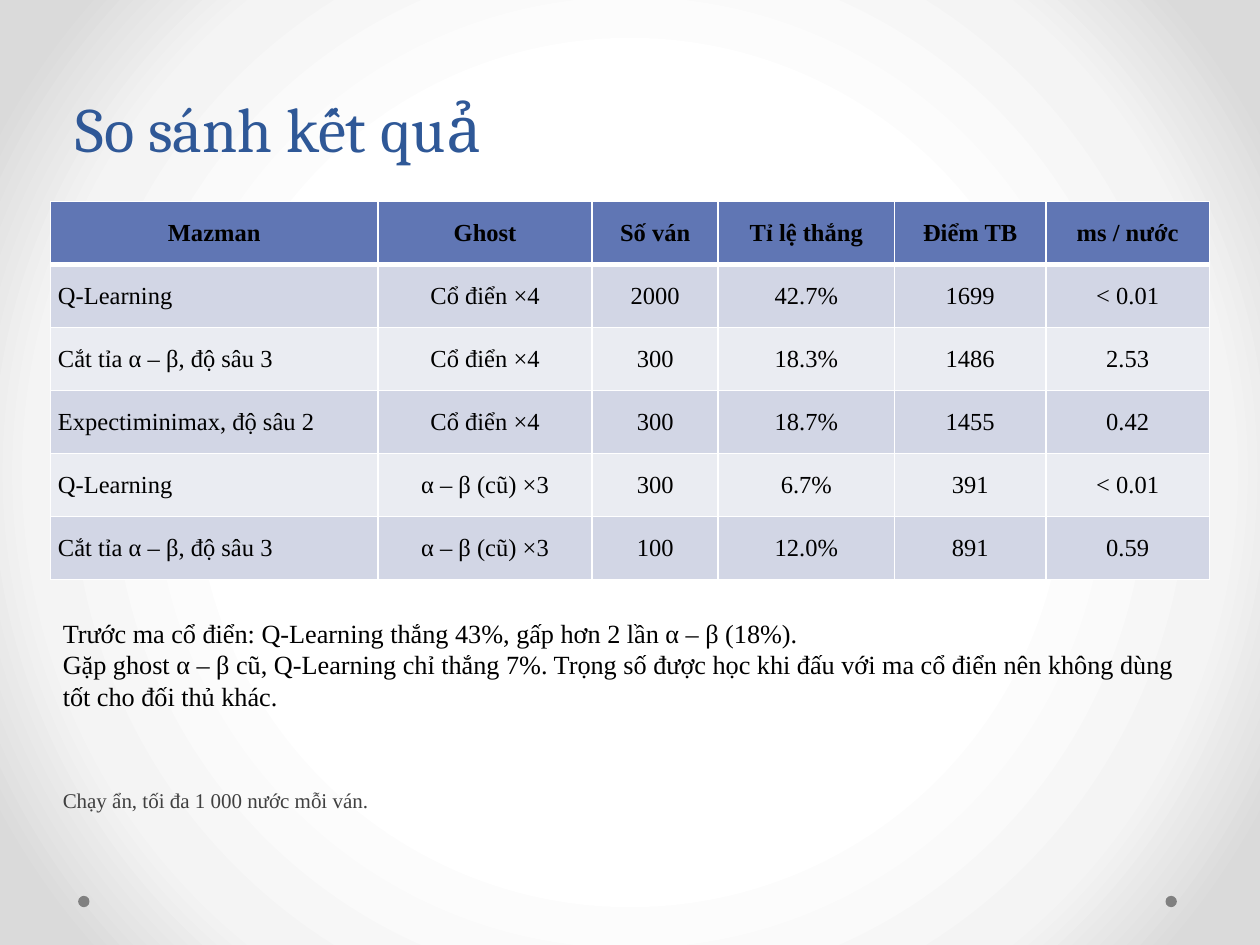
import pptx
import pptx.dml.color
import pptx.enum.shapes
import pptx.enum.text
import pptx.oxml
import pptx.oxml.ns
import pptx.util

RGB = pptx.dml.color.RGBColor
Pt = pptx.util.Pt
ALIGN = pptx.enum.text.PP_ALIGN
ANCHOR = pptx.enum.text.MSO_ANCHOR

PX = 9144
SERIF = "Times New Roman"
BLACK = RGB(0x00, 0x00, 0x00)
WHITE = RGB(0xFF, 0xFF, 0xFF)
TITLE_BLUE = RGB(0x2F, 0x58, 0x97)
HEADER_BLUE = RGB(0x60, 0x76, 0xB4)
BANDS = RGB(0xD2, 0xD6, 0xE5), RGB(0xEA, 0xEC, 0xF2)
DOT_GREY = RGB(0x80, 0x80, 0x80)
NOTE_GREY = RGB(0x40, 0x40, 0x40)
BACKGROUND = [(50, WHITE), (76, RGB(0xF4, 0xF4, 0xF4)), (92, RGB(0xDA, 0xDA, 0xDA))]

TITLE = "So sánh kết quả"
COLUMNS = [("Mazman", 260), ("Ghost", 170), ("Số ván", 100),
           ("Tỉ lệ thắng", 140), ("Điểm TB", 120), ("ms / nước", 130)]
RESULTS = [
    ("Q-Learning", "Cổ điển ×4", "2000", "42.7%", "1699", "< 0.01"),
    ("Cắt tỉa α – β, độ sâu 3", "Cổ điển ×4", "300", "18.3%", "1486", "2.53"),
    ("Expectiminimax, độ sâu 2", "Cổ điển ×4", "300", "18.7%", "1455", "0.42"),
    ("Q-Learning", "α – β (cũ) ×3", "300", "6.7%", "391", "< 0.01"),
    ("Cắt tỉa α – β, độ sâu 3", "α – β (cũ) ×3", "100", "12.0%", "891", "0.59"),
]
FINDINGS = [
    "Trước ma cổ điển: Q-Learning thắng 43%, gấp hơn 2 lần α – β (18%).",
    "Gặp ghost α – β cũ, Q-Learning chỉ thắng 7%. Trọng số được học khi đấu "
    "với ma cổ điển nên không dùng tốt cho đối thủ khác.",
]
NOTE = ["Chạy ẩn, tối đa 1 000 nước mỗi ván."]
LEFT, WIDTH, ROW_HEIGHT = 40, 920, 50


def px(*lengths):
    return [n * PX for n in lengths]


def style(p, size, color, name=SERIF, bold=False):
    p.font.size = Pt(size)
    p.font.name = name
    p.font.bold = bold
    p.font.color.rgb = color


def set_background(s):
    stops = "".join(f'<a:gs pos="{pos * 1000}"><a:srgbClr val="{color}"/></a:gs>'
                    for pos, color in BACKGROUND)
    s.element.cSld.insert(0, pptx.oxml.parse_xml(
        f'<p:bg {pptx.oxml.ns.nsdecls("p", "a")}><p:bgPr><a:gradFill rotWithShape="1">'
        f'<a:gsLst>{stops}</a:gsLst><a:path path="circle">'
        '<a:fillToRect l="50000" t="50000" r="50000" b="50000"/></a:path>'
        '</a:gradFill><a:effectLst/></p:bgPr></p:bg>'))


def set_borders(cell, row):
    widths = {"L": 1, "R": 1, "T": 3 if row == 1 else 1, "B": 3 if row == 0 else 1}
    tcPr = cell._tc.get_or_add_tcPr()
    for side, width in widths.items():
        tcPr.append(pptx.oxml.parse_xml(
            f'<a:ln{side} {pptx.oxml.ns.nsdecls("a")} w="{Pt(width)}">'
            f'<a:solidFill><a:srgbClr val="{WHITE}"/></a:solidFill></a:ln{side}>'))


def add_results(s):
    rows = [[name for name, _ in COLUMNS], *RESULTS]
    table = s.shapes.add_table(len(rows), len(COLUMNS),
                               *px(LEFT, 160, WIDTH, ROW_HEIGHT * len(rows))).table
    for column, (_, width) in zip(table.columns, COLUMNS):
        column.width = width * PX
    for i, row in enumerate(rows):
        table.rows[i].height = ROW_HEIGHT * PX
        for j, text in enumerate(row):
            cell = table.cell(i, j)
            set_borders(cell, i)
            cell.fill.solid()
            cell.fill.fore_color.rgb = BANDS[(i - 1) % 2] if i else HEADER_BLUE
            cell.margin_left = cell.margin_right = 6 * PX
            cell.margin_top = cell.margin_bottom = 5 * PX
            cell.vertical_anchor = ANCHOR.MIDDLE
            cell.text = text
            p = cell.text_frame.paragraphs[0]
            p.alignment = ALIGN.LEFT if i and j == 0 else ALIGN.CENTER
            style(p, 14, BLACK, bold=i == 0)


def add_text(s, lines, top, height, size, color):
    tf = s.shapes.add_textbox(*px(LEFT, top, WIDTH, height)).text_frame
    tf.word_wrap = True
    tf.auto_size = pptx.enum.text.MSO_AUTO_SIZE.SHAPE_TO_FIT_TEXT
    tf.text = "\n".join(lines)
    for p in tf.paragraphs:
        style(p, size, color)


def main():
    prs = pptx.Presentation()
    prs.slide_width, prs.slide_height = px(1000, 750)
    s = prs.slides.add_slide(prs.slide_layouts[5])
    set_background(s)

    title = s.shapes.title
    title.left, title.top, title.width, title.height = px(50, 36, 900, 100)
    title.text_frame.text = TITLE
    title.text_frame.vertical_anchor = ANCHOR.BOTTOM
    p = title.text_frame.paragraphs[0]
    p.alignment = ALIGN.LEFT
    p.line_spacing = Pt(58)
    style(p, 36, TITLE_BLUE, "Cambria")

    for x in (925, 62):
        dot = s.shapes.add_shape(pptx.enum.shapes.MSO_SHAPE.OVAL, *px(x, 711, 9, 9))
        dot.shadow.inherit = False
        dot.fill.solid()
        dot.fill.fore_color.rgb = DOT_GREY
        dot.line.fill.background()

    add_results(s)
    add_text(s, FINDINGS, 485, 150, 15, BLACK)
    add_text(s, NOTE, 620, 40, 12, NOTE_GREY)
    prs.save("out.pptx")


if __name__ == "__main__":
    main()
